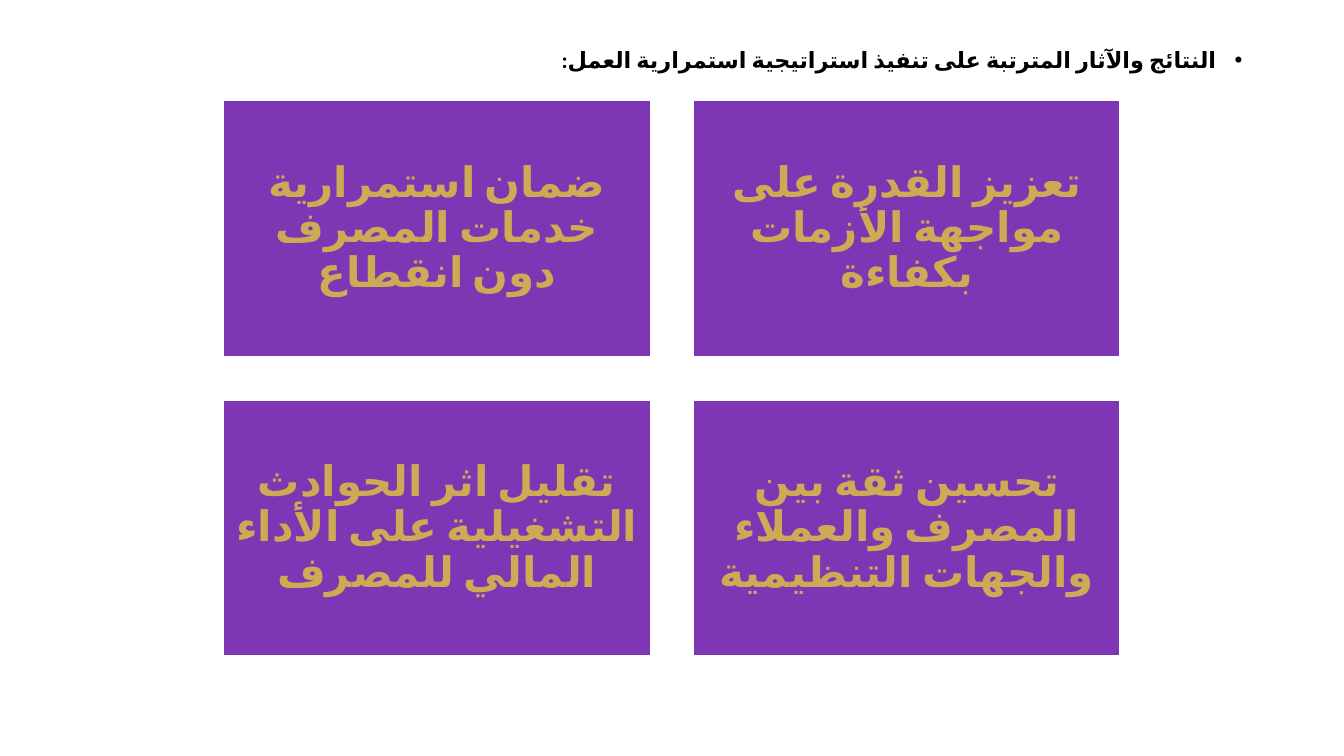
from dataclasses import dataclass

from lxml import etree
from pptx import Presentation, util as u
from pptx.dml.color import RGBColor
from pptx.enum import shapes, text
from pptx.oxml import ns


@dataclass(frozen=True)
class Theme:
    font: str = "Calibri"
    head_size: int = 16
    card_size: int = 30
    black: str = "000000"
    purple: str = "7E36B4"
    gold: str = "CBAB54"
    white: str = "FFFFFF"


@dataclass(frozen=True)
class Card:
    row: int
    col: int
    label: str


THEME = Theme()
HEAD = "النتائج والآثار المترتبة على تنفيذ استراتيجية استمرارية العمل:"
CARDS = [
    Card(0, 0, "ضمان استمرارية خدمات المصرف دون انقطاع"),
    Card(0, 1, "تعزيز القدرة على مواجهة الأزمات بكفاءة"),
    Card(1, 0, "تقليل اثر الحوادث التشغيلية على الأداء المالي للمصرف"),
    Card(1, 1, "تحسين ثقة بين المصرف والعملاء والجهات التنظيمية"),
]

# Card grid, in inches
LEFT, TOP = 2.22, 1.0
WIDE, HIGH = 4.23, 2.54
GAP = 0.43
INSET = 0.12


def style(para, size: int, color: str) -> None:
    """Format a paragraph's only run, for Latin and Arabic script."""
    para.line_spacing = 0.9
    run = para.runs[0]
    font = run.font
    font.name, font.size, font.bold = THEME.font, u.Pt(size), True
    font.color.rgb = RGBColor.from_string(color)
    props = run._r.get_or_add_rPr()
    props.set("lang", "ar-SA")
    etree.SubElement(props, ns.qn("a:cs"), typeface=THEME.font)


def draw_head(slide) -> None:
    box = slide.shapes.add_textbox(
        u.Inches(0.92), u.Inches(0.44), u.Inches(11.5), u.Inches(6.72))
    frame = box.text_frame
    frame.word_wrap = True
    frame.text = HEAD
    para = frame.paragraphs[0]

    # Right-to-left bullet with a hanging indent
    props = para._p.get_or_add_pPr()
    props.set("marL", str(u.Inches(0.25)))
    props.set("indent", str(u.Inches(-0.25)))
    props.set("rtl", "1")
    etree.SubElement(props, ns.qn("a:buFont"), typeface="Arial")
    etree.SubElement(props, ns.qn("a:buChar"), char="•")
    para.alignment = text.PP_ALIGN.RIGHT
    style(para, THEME.head_size, THEME.black)


def draw_card(slide, card: Card) -> None:
    shape = slide.shapes.add_shape(
        shapes.MSO_SHAPE.RECTANGLE,
        u.Inches(LEFT + card.col * (WIDE + GAP)),
        u.Inches(TOP + card.row * (HIGH + GAP)),
        u.Inches(WIDE), u.Inches(HIGH))
    shape.shadow.inherit = False
    shape.fill.solid()
    shape.fill.fore_color.rgb = RGBColor.from_string(THEME.purple)
    shape.line.color.rgb = RGBColor.from_string(THEME.white)
    shape.line.width = u.Pt(1)

    # Centred label
    frame = shape.text_frame
    frame.word_wrap = True
    frame.vertical_anchor = text.MSO_ANCHOR.MIDDLE
    frame.margin_left = frame.margin_right = u.Inches(INSET)
    frame.margin_top = frame.margin_bottom = u.Inches(INSET)
    frame.text = card.label
    para = frame.paragraphs[0]
    para.alignment = text.PP_ALIGN.CENTER
    style(para, THEME.card_size, THEME.gold)


def main() -> None:
    deck = Presentation()
    deck.slide_width, deck.slide_height = u.Inches(13.33), u.Inches(7.5)
    slide = deck.slides.add_slide(deck.slide_layouts[6])
    draw_head(slide)
    for card in CARDS:
        draw_card(slide, card)
    deck.save("out.pptx")


if __name__ == "__main__":
    main()
